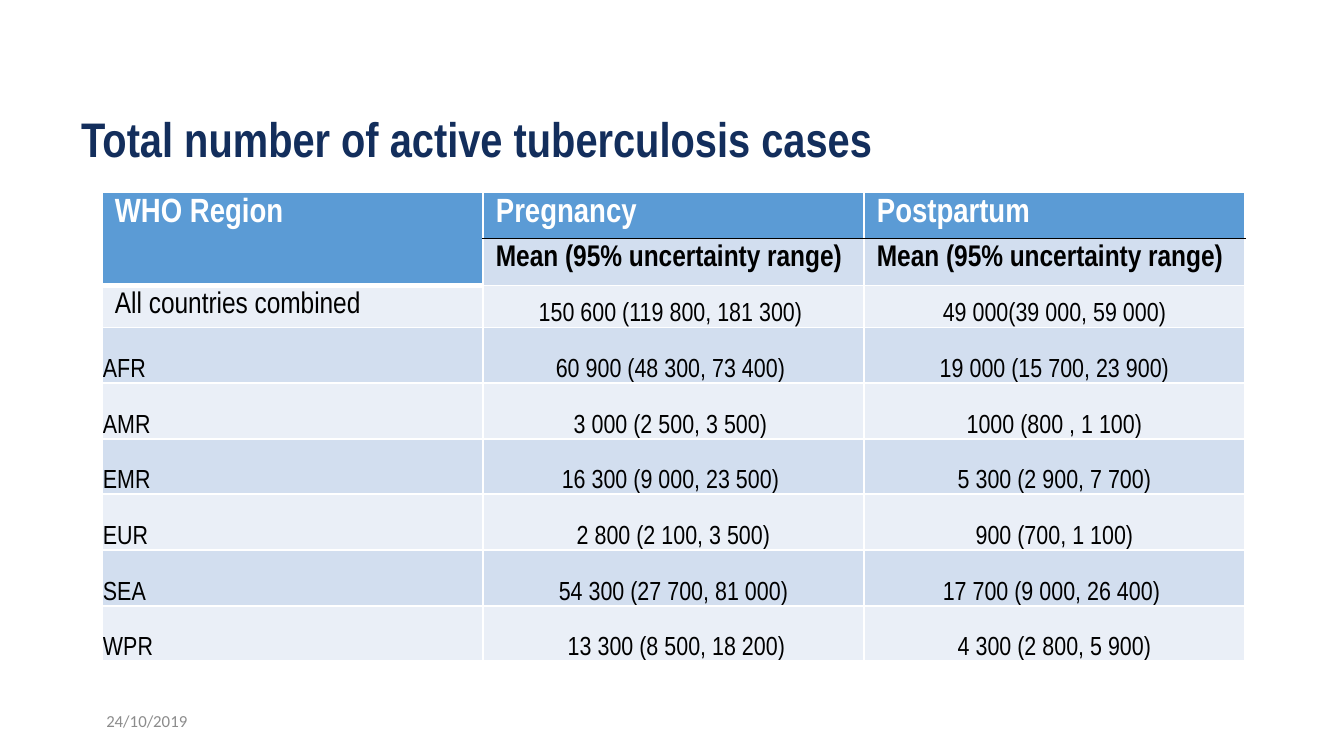
"""Build a slide with a table of active tuberculosis cases by WHO region."""
from lxml.etree import SubElement
from pptx import Presentation
from pptx.dml.color import RGBColor
from pptx.enum.text import MSO_ANCHOR, PP_ALIGN
from pptx.oxml.ns import qn
from pptx.util import Emu, Pt

TITLE = "Total number of active tuberculosis cases"
DATE = "24/10/2019"
RANGE_LABEL = "Mean (95% uncertainty range)"
ROWS = [
    ("WHO Region", "Pregnancy", "Postpartum"),
    ("", RANGE_LABEL, RANGE_LABEL),
    ("All countries combined", "150 600 (119 800, 181 300) ", "49 000(39 000, 59 000)"),
    ("AFR", "60 900 (48 300, 73 400) ", "19 000 (15 700, 23 900)"),
    ("AMR", "3 000 (2 500, 3 500) ", "1000 (800 , 1 100)"),
    ("EMR", "16 300 (9 000, 23 500) ", "5 300 (2 900, 7 700)"),
    ("EUR", "2 800 (2 100, 3 500)", "900 (700, 1 100)"),
    ("SEA", "54 300 (27 700, 81 000)", "17 700 (9 000, 26 400) "),
    ("WPR", " 13 300 (8 500, 18 200)", "4 300 (2 800, 5 900)"),
]
COLORS = {
    "title": "132E5C", "date": "8C8C8C", "header": "5B9BD5", "band": "D2DEEF",
    "light": "EAEFF7", "white": "FFFFFF", "black": "000000",
}
FORMATS = {
    "title": {"name": "Arial Narrow", "size": Pt(26), "bold": True, "color": "title"},
    "date": {"name": "Calibri", "size": Pt(9), "bold": False, "color": "date"},
    "header": {"name": "Arial Narrow", "size": Pt(18), "bold": True, "color": "white"},
    "subheader": {"name": "Arial Narrow", "size": Pt(16), "bold": True, "color": "black"},
    "total": {"name": "Arial Narrow", "size": Pt(16), "bold": False, "color": "black"},
    "body": {"name": "Arial Narrow", "size": Pt(14), "bold": False, "color": "black"},
}
SLIDE_SIZE = (1344, 756)
TITLE_BOX = (81, 109, 1019, 71)
DATE_BOX = (93, 701, 302, 40)
TABLE_LEFT, TABLE_TOP, COLUMN_WIDTH = 102, 192, 381
ROW_HEIGHTS = [46, 47, 42] + [56, 56, 55] * 2
LABEL_MARGINS = {"margin_left": 13, "margin_right": 13, "margin_top": 6, "margin_bottom": 0}
BODY_MARGINS = {"margin_left": 1, "margin_right": 1, "margin_top": 1, "margin_bottom": 0}


def px(value):
    return Emu(round(value * 914400 / 134.4))


def write(text_frame, text, style, alignment=PP_ALIGN.LEFT):
    paragraph = text_frame.paragraphs[0]
    paragraph.alignment = alignment
    run = paragraph.add_run()
    run.text = text
    for name, value in FORMATS[style].items():
        if name == "color":
            run.font.color.rgb = RGBColor.from_string(COLORS[value])
        else:
            setattr(run.font, name, value)


def set_borders(cell, row, column):
    borders = {side: ("white", 1) for side in "LRTB"}
    if column and row < 2:
        borders["B" if row == 0 else "T"] = ("black", 1)
    elif row < 2:
        borders["B"] = ("white", 3)
    properties = cell._tc.get_or_add_tcPr()
    for side, (color, width) in borders.items():
        line = SubElement(properties, qn(f"a:ln{side}"), w=str(Pt(width)))
        fill = SubElement(line, qn("a:solidFill"))
        SubElement(fill, qn("a:srgbClr"), val=COLORS[color])


def cell_look(row, column):
    if row == 0 or (row == 1 and column == 0):
        return "header", "header"
    fill = "band" if row % 2 else "light"
    if row == 1:
        return "subheader", fill
    return ("total" if row == 2 and column == 0 else "body"), fill


def add_title(slide):
    title = slide.shapes.title
    title.left, title.top, title.width, title.height = map(px, TITLE_BOX)
    frame = title.text_frame
    frame.margin_left = frame.margin_right = frame.margin_top = frame.margin_bottom = 0
    frame.vertical_anchor = MSO_ANCHOR.TOP
    write(frame, TITLE, "title")


def add_date(slide):
    frame = slide.shapes.add_textbox(*map(px, DATE_BOX)).text_frame
    frame.word_wrap = True
    frame.vertical_anchor = MSO_ANCHOR.MIDDLE
    write(frame, DATE, "date")


def add_cases_table(slide):
    column_count = len(ROWS[0])
    box = (TABLE_LEFT, TABLE_TOP, COLUMN_WIDTH * column_count, sum(ROW_HEIGHTS))
    table = slide.shapes.add_table(len(ROWS), column_count, *map(px, box)).table
    for column in table.columns:
        column.width = px(COLUMN_WIDTH)
    for table_row, height in zip(table.rows, ROW_HEIGHTS):
        table_row.height = px(height)
    table.cell(0, 0).merge(table.cell(1, 0))
    for row, texts in enumerate(ROWS):
        for column, text in enumerate(texts):
            cell = table.cell(row, column)
            style, fill = cell_look(row, column)
            is_body = style == "body"
            set_borders(cell, row, column)
            cell.fill.solid()
            cell.fill.fore_color.rgb = RGBColor.from_string(COLORS[fill])
            cell.vertical_anchor = MSO_ANCHOR.BOTTOM if is_body else MSO_ANCHOR.TOP
            for name, value in (BODY_MARGINS if is_body else LABEL_MARGINS).items():
                setattr(cell, name, px(value))
            if text:
                alignment = PP_ALIGN.CENTER if is_body and column else PP_ALIGN.LEFT
                write(cell.text_frame, text, style, alignment)


def main():
    presentation = Presentation()
    presentation.slide_width, presentation.slide_height = map(px, SLIDE_SIZE)
    slide = presentation.slides.add_slide(presentation.slide_layouts[5])
    add_title(slide)
    add_date(slide)
    add_cases_table(slide)
    presentation.save("out.pptx")


if __name__ == "__main__":
    main()
